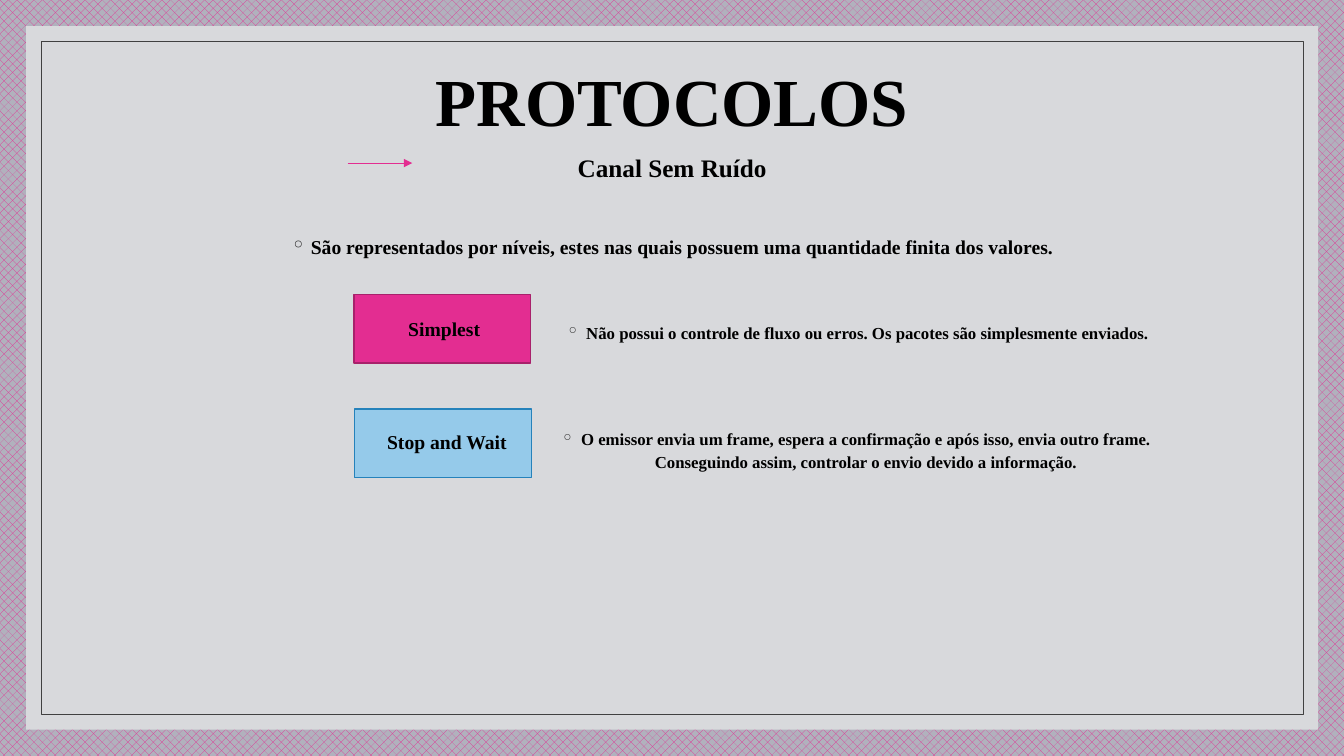
from dataclasses import dataclass

from lxml.etree import SubElement
from pptx import Presentation
from pptx.dml.color import RGBColor
from pptx.enum.dml import MSO_PATTERN
from pptx.enum.shapes import MSO_CONNECTOR, MSO_SHAPE
from pptx.enum.text import MSO_ANCHOR, PP_ALIGN
from pptx.oxml.ns import qn
from pptx.util import Cm, Pt


@dataclass(frozen=True)
class Theme:
    """Colours, font and type sizes of the slide."""
    font: str = "Times New Roman"
    text: str = "000000"
    bullet: str = "262626"
    pink: str = "E32D91"
    pink_edge: str = "A8216B"
    blue: str = "95CAEA"
    blue_edge: str = "2582BB"
    weave: str = "B1B1BD"
    panel: str = "D8D9DC"
    border: str = "404040"
    title_size: int = 48
    subtitle_size: int = 18
    body_size: int = 14
    detail_size: int = 12


THEME = Theme()


def rgb(code):
    """Turn a hex code into a colour."""
    return RGBColor.from_string(code)


def weave_background(slide):
    """Fill the background with the pink pattern."""
    fill = slide.background.fill
    fill.patterned()
    fill.pattern = MSO_PATTERN.from_xml("pct40")
    fill.fore_color.rgb = rgb(THEME.pink)
    fill.back_color.rgb = rgb(THEME.weave)


def add_box(slide, place, fill=None, edge=None, width=1):
    """Add a rectangle with an optional fill and edge."""
    box = slide.shapes.add_shape(MSO_SHAPE.RECTANGLE, *map(Cm, place))
    box.shadow.inherit = False
    if fill:
        box.fill.solid()
        box.fill.fore_color.rgb = rgb(fill)
    else:
        box.fill.background()
    if edge:
        box.line.color.rgb = rgb(edge)
        box.line.width = Pt(width)
    else:
        box.line.fill.background()
    return box


def add_bullet(paragraph, indent):
    """Give a paragraph a hollow bullet with a hanging indent."""
    properties = paragraph._p.get_or_add_pPr()
    properties.set("marL", str(Cm(indent)))
    properties.set("indent", str(-Cm(0.51)))
    colour = SubElement(properties, qn("a:buClr"))
    SubElement(colour, qn("a:srgbClr"), val=THEME.bullet)
    SubElement(properties, qn("a:buChar"), char="◦")


def write(frame, text, size, spacing=0.9, before=0, anchor=MSO_ANCHOR.MIDDLE, indent=None):
    """Write one centred bold paragraph into a text frame."""
    frame.word_wrap = True
    frame.vertical_anchor = anchor
    paragraph = frame.paragraphs[0]
    paragraph.text = text
    paragraph.alignment = PP_ALIGN.CENTER
    paragraph.line_spacing = spacing
    paragraph.space_before = Pt(before)
    if indent:
        add_bullet(paragraph, indent)
    font = paragraph.font
    font.name, font.size, font.bold = THEME.font, Pt(size), True
    font.color.rgb = rgb(THEME.text)
    return paragraph


def add_label(slide, place, text):
    """Add the name of a protocol."""
    label = slide.shapes.add_textbox(*map(Cm, place))
    write(label.text_frame, text, THEME.body_size)


def add_statement(slide, place, text, size, before=9, indent=None, level=0):
    """Add a top-anchored statement, bulleted when indented."""
    statement = slide.shapes.add_textbox(*map(Cm, place))
    paragraph = write(statement.text_frame, text, size, 1.1, before, MSO_ANCHOR.TOP, indent)
    paragraph.level = level


def add_arrow(slide, left, right, y):
    """Add a thin horizontal arrow."""
    arrow = slide.shapes.add_connector(MSO_CONNECTOR.STRAIGHT, Cm(left), Cm(y), Cm(right), Cm(y))
    arrow.line.color.rgb = rgb(THEME.pink)
    arrow.line.width = Pt(0.5)
    SubElement(arrow.line._get_or_add_ln(), qn("a:tailEnd"), type="triangle")
    SubElement(arrow.element.spPr, qn("a:effectLst"))


def add_title(slide, place, text):
    """Place and fill the title."""
    title = slide.shapes.title
    title.left, title.top, title.width, title.height = map(Cm, place)
    write(title.text_frame, text, THEME.title_size)
    return title


def main():
    """Build and save the slide about protocols."""
    deck = Presentation()
    deck.slide_width, deck.slide_height = Cm(33.87), Cm(19.05)
    slide = deck.slides.add_slide(deck.slide_layouts[5])
    weave_background(slide)
    title = add_title(slide, (2.97, 0.74, 27.94, 3.81), "PROTOCOLOS")
    panel = add_box(slide, (0.66, 0.66, 32.56, 17.73), fill=THEME.panel)
    border = add_box(slide, (1.04, 1.04, 31.8, 16.97), edge=THEME.border, width=0.5)
    for backdrop in (panel, border):
        title.element.addprevious(backdrop.element)

    add_box(slide, (8.92, 7.42, 4.45, 1.73), THEME.pink, THEME.pink_edge)
    add_label(slide, (8.97, 7.59, 4.45, 1.45), "Simplest")
    add_statement(slide, (4.78, 5.74, 24.33, 1.73),
                  "São representados por níveis, estes nas quais possuem uma quantidade "
                  "finita dos valores.", THEME.body_size, indent=0.51)
    add_statement(slide, (2.97, 3.63, 27.94, 1.65), "Canal Sem Ruído", THEME.subtitle_size)
    add_arrow(slide, 8.76, 10.39, 4.11)
    add_box(slide, (8.94, 10.31, 4.45, 1.73), THEME.blue, THEME.blue_edge)
    add_label(slide, (9.04, 10.44, 4.45, 1.45), "Stop and Wait")
    add_statement(slide, (9.07, 7.95, 24.33, 1.73),
                  "Não possui o controle de fluxo ou erros. Os pacotes são simplesmente "
                  "enviados.", THEME.detail_size, before=5, indent=1.27, level=1)
    add_statement(slide, (13, 10.64, 17.15, 1.73),
                  "O emissor envia um frame, espera a confirmação e após isso, envia outro "
                  "frame. Conseguindo assim, controlar o envio devido a informação.",
                  THEME.detail_size, indent=0.51)
    deck.save("out.pptx")


main()
